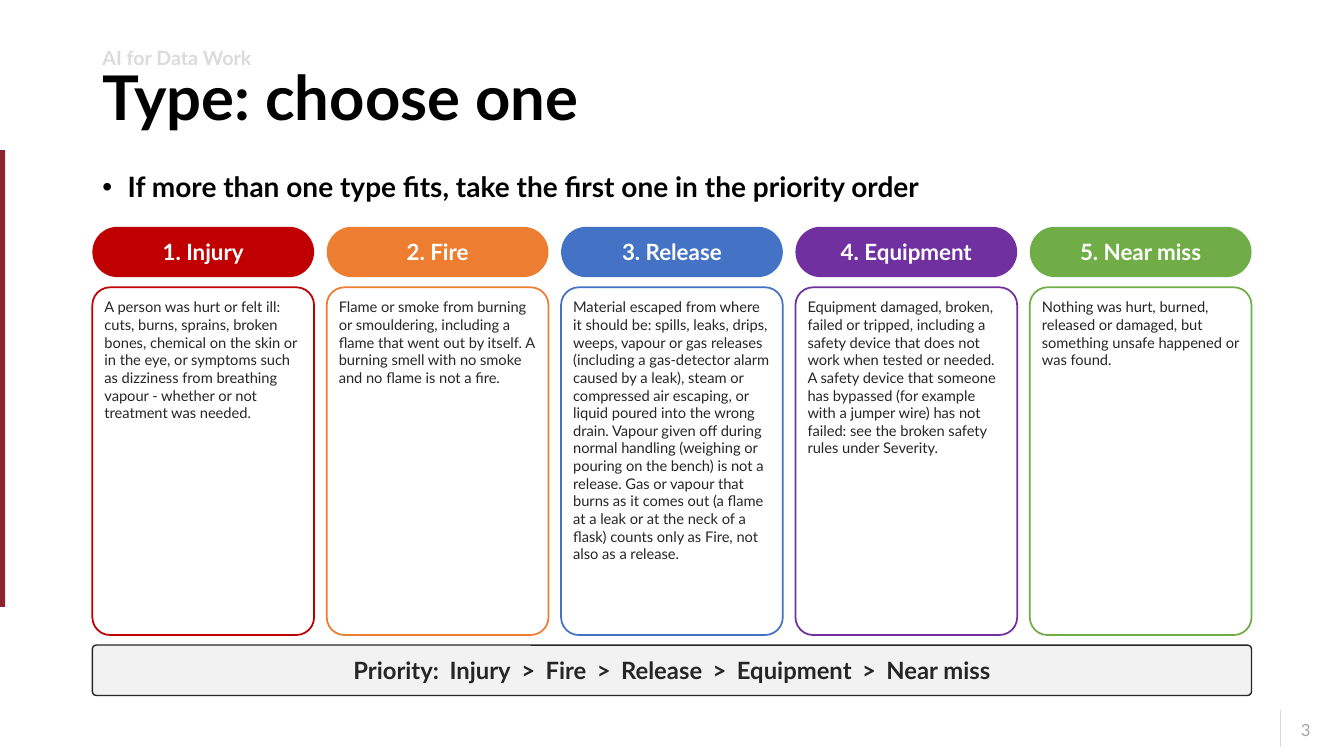
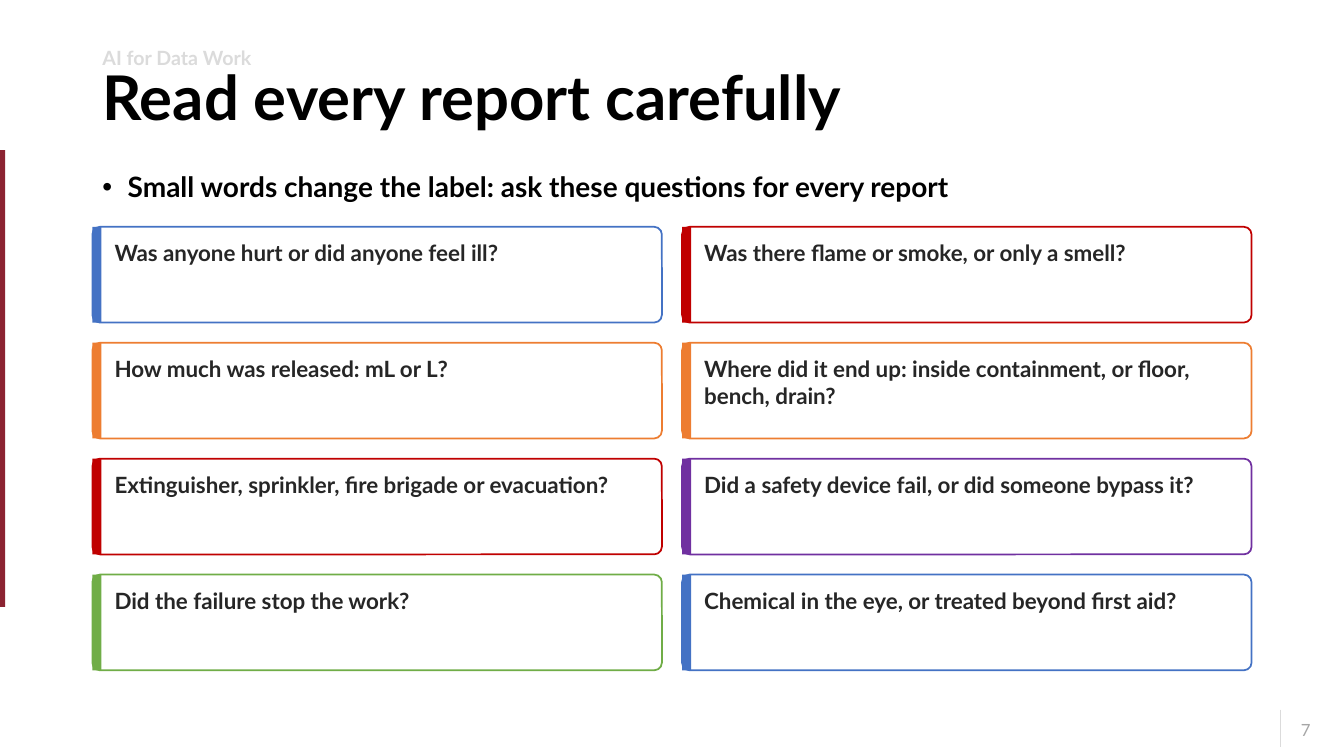
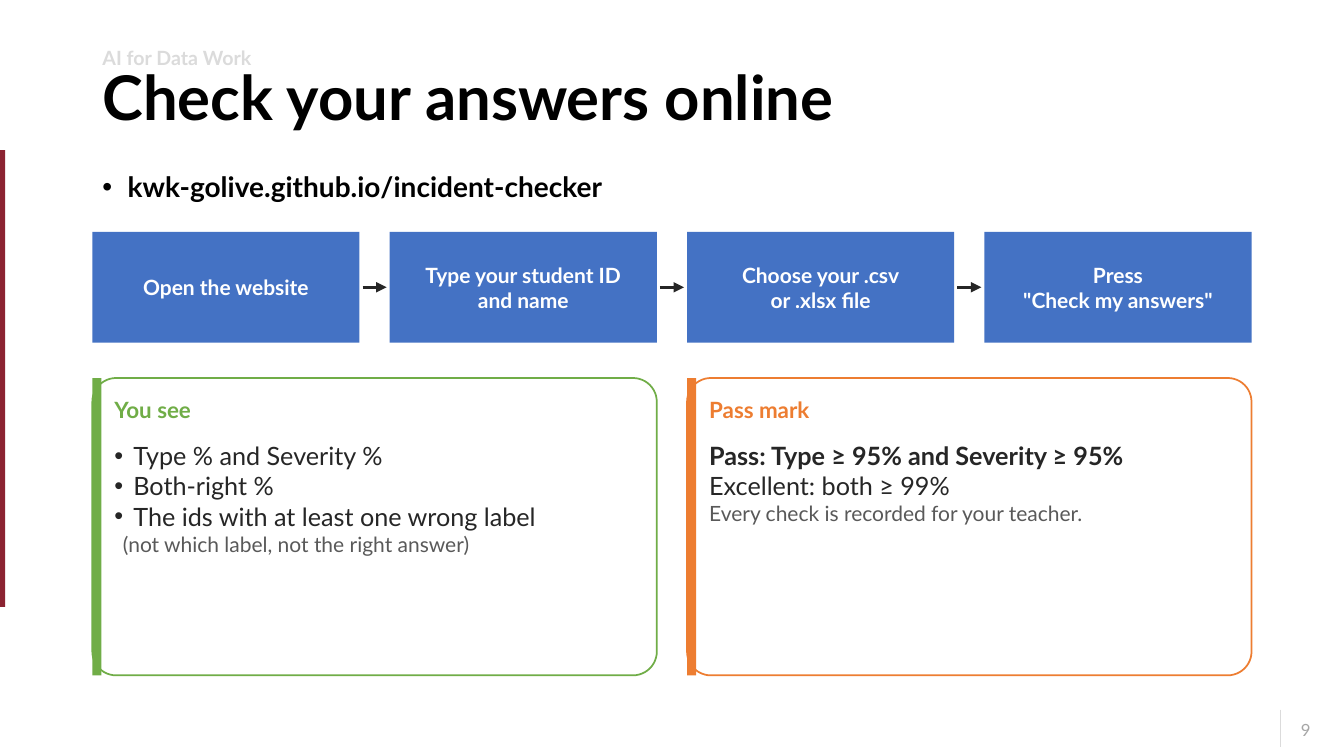
from dataclasses import dataclass
from typing import NamedTuple, Optional, Sequence

from lxml.etree import SubElement
from pptx import Presentation
from pptx.dml.color import RGBColor
from pptx.enum.shapes import MSO_CONNECTOR as Link, MSO_SHAPE as Kind
from pptx.enum.text import MSO_ANCHOR as Anchor, MSO_AUTO_SIZE as Fit, PP_ALIGN as Align
from pptx.oxml.ns import qn
from pptx.shapes.autoshape import Shape
from pptx.slide import Slide
from pptx.text.text import TextFrame
from pptx.util import Pt


@dataclass(frozen=True)
class Theme:
    font: str = "Lato"
    black: str = "000000"
    white: str = "FFFFFF"
    ink: str = "262626"
    dim: str = "595959"
    mute: str = "A6A6A6"
    pale: str = "DBDBDB"
    mist: str = "F2F2F2"
    wine: str = "8B2331"
    red: str = "C00000"
    orange: str = "ED7D31"
    blue: str = "4472C4"
    purple: str = "7030A0"
    green: str = "70AD47"
    title: float = 44
    lead: float = 20
    list: float = 18
    bar: float = 17
    head: float = 16
    step: float = 15
    tag: float = 14
    page: float = 12
    small: float = 10.5
    left: float = 66
    wide: float = 828
    edge: float = 1.25
    round: float = 0.08
    inset: float = 4.3


T = Theme()


class Rect(NamedTuple):
    x: float
    y: float
    w: float
    h: float


@dataclass(frozen=True)
class Run:
    text: str
    size: float
    color: str = T.ink
    bold: bool = False
    track: float = 0


@dataclass(frozen=True)
class Para:
    runs: Sequence[Run]
    align: Align = Align.LEFT
    lines: Optional[float] = None
    bullet: bool = False
    indent: float = 0


class Type(NamedTuple):
    name: str
    color: str
    text: str


class Ask(NamedTuple):
    text: str
    color: str


class Panel(NamedTuple):
    head: str
    color: str
    paras: Sequence[Para]


def line(text: str, size: float, color: str = T.ink, bold: bool = False,
         align: Align = Align.LEFT, **form) -> Para:
    """Make a paragraph of a single run."""
    return Para([Run(text, size, color, bold)], align, **form)


def spread(count: int, size: float, start: float = T.left, span: float = T.wide) -> list[float]:
    """Return the starts of equal items that fill a span with equal gaps."""
    pitch = (span - size) / (count - 1)
    return [start + i * pitch for i in range(count)]


def write(frame: TextFrame, paras: Sequence[Para], anchor: Anchor = Anchor.TOP,
          inset: Optional[float] = T.inset) -> None:
    frame.word_wrap = True
    frame.auto_size = Fit.NONE
    frame.vertical_anchor = anchor
    if inset is not None:
        frame.margin_left = frame.margin_right = Pt(inset)
        frame.margin_top = frame.margin_bottom = Pt(inset)
    for i, para in enumerate(paras):
        item = frame.paragraphs[0] if i == 0 else frame.add_paragraph()
        item.alignment = para.align
        item.space_before = Pt(0)
        if para.lines:
            item.line_spacing = para.lines
        props = item._p.get_or_add_pPr()
        props.set("marL", str(Pt(para.indent)))
        props.set("indent", str(-Pt(para.indent) if para.bullet else 0))
        if para.bullet:
            SubElement(props, qn("a:buFont")).set("typeface", "Arial")
            SubElement(props, qn("a:buChar")).set("char", "•")
        else:
            SubElement(props, qn("a:buNone"))
        for part in para.runs:
            run = item.add_run()
            run.text = part.text
            font = run.font
            font.name, font.size, font.bold = T.font, Pt(part.size), part.bold
            font.color.rgb = RGBColor.from_string(part.color)
            if part.track:
                run._r.get_or_add_rPr().set("spc", str(round(part.track * 100)))


def label(slide: Slide, at: Rect, paras: Sequence[Para], anchor: Anchor = Anchor.TOP,
          inset: Optional[float] = T.inset) -> None:
    box = slide.shapes.add_textbox(*map(Pt, at))
    write(box.text_frame, paras, anchor, inset)


def block(slide: Slide, kind: Kind, at: Rect, fill: str, edge: Optional[str] = None,
          width: float = T.edge, bend: float = T.round) -> Shape:
    shape = slide.shapes.add_shape(kind, *map(Pt, at))
    shape.shadow.inherit = False
    shape.fill.solid()
    shape.fill.fore_color.rgb = RGBColor.from_string(fill)
    if edge:
        shape.line.color.rgb = RGBColor.from_string(edge)
        shape.line.width = Pt(width)
    else:
        shape.line.fill.background()
    if kind == Kind.ROUNDED_RECTANGLE:
        shape.adjustments[0] = bend
    return shape


def stroke(slide: Slide, x: float, y: float, to_x: float, to_y: float,
           color: str, width: float, arrow: bool = False) -> None:
    link = slide.shapes.add_connector(Link.STRAIGHT, Pt(x), Pt(y), Pt(to_x), Pt(to_y))
    link.line.color.rgb = RGBColor.from_string(color)
    link.line.width = Pt(width)
    props = link._element.spPr
    if arrow:
        SubElement(props.find(qn("a:ln")), qn("a:tailEnd")).set("type", "triangle")
    SubElement(props, qn("a:effectLst"))


def start(deck: Presentation, page: int, title: str, lead: str) -> Slide:
    """Add a slide with the band, page number, title, lead and tag."""
    slide = deck.slides.add_slide(deck.slide_layouts[3])
    block(slide, Kind.RECTANGLE, Rect(0, 107.3, 3.6, 326.2), T.wine)
    stroke(slide, 914.4, 506.9, 914.4, 533.5, T.pale, 0.5)
    label(slide, Rect(889.2, 510.5, 54, 28.8),
          [line(str(page), T.page, T.mute, align=Align.RIGHT)], inset=None)
    slots = (
        (Rect(T.left, 45.4, T.wide, 52.6), Anchor.MIDDLE,
         line(title, T.title, T.black, True, lines=0.9)),
        (Rect(T.left, 111.6, T.wide, 39.6), Anchor.TOP,
         line(lead, T.lead, T.black, True, lines=1.25, bullet=True, indent=18)),
        (Rect(T.left, 31, 604.8, 18.7), Anchor.TOP,
         line("AI for Data Work", T.tag, T.pale, True, lines=0.9)),
    )
    for holder, (at, anchor, para) in zip(slide.placeholders, slots):
        holder.left, holder.top, holder.width, holder.height = map(Pt, at)
        write(holder.text_frame, [para], anchor, None)
    return slide


def frame(slide: Slide, at: Rect, color: str) -> None:
    """Draw a rounded outline with a solid stripe on its left."""
    block(slide, Kind.ROUNDED_RECTANGLE, at, T.white, color)
    block(slide, Kind.RECTANGLE, at._replace(w=6.5), color)


TYPES = (
    Type("Injury", T.red,
         "A person was hurt or felt ill: cuts, burns, sprains, broken bones, chemical on the "
         "skin or in the eye, or symptoms such as dizziness from breathing vapour - whether or "
         "not treatment was needed."),
    Type("Fire", T.orange,
         "Flame or smoke from burning or smouldering, including a flame that went out by "
         "itself. A burning smell with no smoke and no flame is not a fire."),
    Type("Release", T.blue,
         "Material escaped from where it should be: spills, leaks, drips, weeps, vapour or gas "
         "releases (including a gas-detector alarm caused by a leak), steam or compressed air "
         "escaping, or liquid poured into the wrong drain. Vapour given off during normal "
         "handling (weighing or pouring on the bench) is not a release. Gas or vapour that "
         "burns as it comes out (a flame at a leak or at the neck of a flask) counts only as "
         "Fire, not also as a release."),
    Type("Equipment", T.purple,
         "Equipment damaged, broken, failed or tripped, including a safety device that does "
         "not work when tested or needed. A safety device that someone has bypassed (for "
         "example with a jumper wire) has not failed: see the broken safety rules under "
         "Severity."),
    Type("Near miss", T.green,
         "Nothing was hurt, burned, released or damaged, but something unsafe happened or was "
         "found."),
)

ASKS = (
    Ask("Was anyone hurt or did anyone feel ill?", T.blue),
    Ask("Was there flame or smoke, or only a smell?", T.red),
    Ask("How much was released: mL or L?", T.orange),
    Ask("Where did it end up: inside containment, or floor, bench, drain?", T.orange),
    Ask("Extinguisher, sprinkler, fire brigade or evacuation?", T.red),
    Ask("Did a safety device fail, or did someone bypass it?", T.purple),
    Ask("Did the failure stop the work?", T.green),
    Ask("Chemical in the eye, or treated beyond first aid?", T.blue),
)

STEPS = (
    ("Open the website",),
    ("Type your student ID", "and name"),
    ("Choose your .csv", "or .xlsx file"),
    ("Press", '"Check my answers"'),
)

PANELS = (
    Panel("You see", T.green, (
        *(line(text, T.list, bullet=True, indent=13.5) for text in (
            "Type % and Severity %", "Both-right %", "The ids with at least one wrong label")),
        line("(not which label, not the right answer)", T.step, T.dim, indent=6),
    )),
    Panel("Pass mark", T.orange, (
        line("Pass: Type ≥ 95% and Severity ≥ 95%", T.list, bold=True),
        line("Excellent: both ≥ 99%", T.list),
        line("Every check is recorded for your teacher.", T.step, T.dim),
    )),
)


def types(deck: Presentation) -> None:
    slide = start(deck, 3, "Type: choose one",
                  "If more than one type fits, take the first one in the priority order")
    wide = 158.4
    for i, (x, kind) in enumerate(zip(spread(len(TYPES), wide), TYPES), 1):
        pill = block(slide, Kind.ROUNDED_RECTANGLE, Rect(x, 162, wide, 36), kind.color, bend=0.5)
        write(pill.text_frame,
              [line(f"{i}. {kind.name}", T.head, T.white, True, Align.CENTER)],
              Anchor.MIDDLE, 1.4)
        block(slide, Kind.ROUNDED_RECTANGLE, Rect(x, 205.2, wide, 248.4), T.white, kind.color)
        label(slide, Rect(x + 4.3, 208.8, wide - 8.6, 244.8), [line(kind.text, T.small)])
    bar = block(slide, Kind.ROUNDED_RECTANGLE, Rect(T.left, 460.8, T.wide, 36),
                T.mist, T.ink, 1)
    gap = Run(" ", T.bar, bold=True, track=3.3)
    runs = [Run("Priority:", T.bar, bold=True)]
    for i, kind in enumerate(TYPES):
        if i:
            runs += [gap, Run(">", T.bar, bold=True)]
        runs += [gap, Run(kind.name, T.bar, bold=True)]
    write(bar.text_frame, [Para(runs, Align.CENTER)], Anchor.MIDDLE)


def asks(deck: Presentation) -> None:
    slide = start(deck, 7, "Read every report carefully",
                  "Small words change the label: ask these questions for every report")
    wide, high = 406.8, 68.4
    cells = [(x, y) for y in spread(4, high, 162, 316.8) for x in spread(2, wide)]
    for (x, y), ask in zip(cells, ASKS):
        frame(slide, Rect(x, y, wide, high), ask.color)
        label(slide, Rect(x + 11.5, y + 4.3, wide - 17.3, high - 7.2),
              [line(ask.text, T.head, bold=True)])


def check(deck: Presentation) -> None:
    slide = start(deck, 9, "Check your answers online", "kwk-golive.github.io/incident-checker")
    wide, top, high, gap = 190.8, 165.6, 79.2, 2.2
    lefts = spread(len(STEPS), wide)
    for x, step in zip(lefts, STEPS):
        box = block(slide, Kind.RECTANGLE, Rect(x, top, wide, high), T.blue)
        write(box.text_frame,
              [line(text, T.step, T.white, True, Align.CENTER) for text in step], Anchor.MIDDLE)
    mid = top + high / 2
    for x, after in zip(lefts, lefts[1:]):
        stroke(slide, x + wide + gap, mid, after - gap, mid, T.ink, 2.5, arrow=True)

    wide, top, high = 403.2, 270, 212.4
    for x, panel in zip(spread(len(PANELS), wide), PANELS):
        frame(slide, Rect(x, top, wide, high), panel.color)
        head = Rect(x + 11.5, top + 4.3, wide - 17, 36)
        label(slide, head, [line(panel.head, T.head, panel.color, True)], Anchor.MIDDLE)
        label(slide, head._replace(y=head.y + head.h, h=169.2), panel.paras)


def main() -> None:
    deck = Presentation()
    deck.slide_width, deck.slide_height = Pt(960), Pt(540)
    for build in (types, asks, check):
        build(deck)
    deck.save("out.pptx")


if __name__ == "__main__":
    main()
